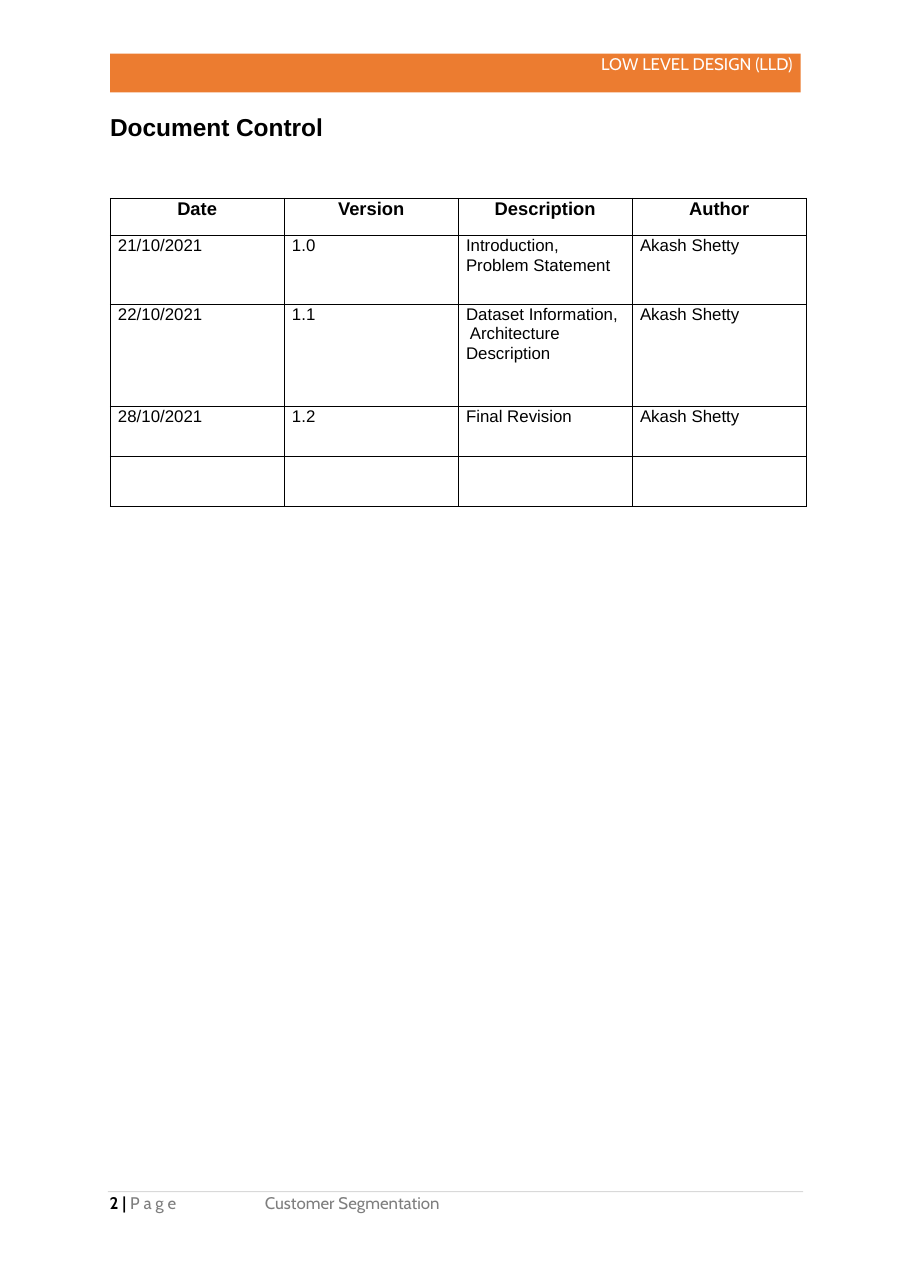
from lxml.etree import SubElement
from pptx import Presentation
from pptx.dml.color import RGBColor
from pptx.enum.shapes import MSO_SHAPE as Shape
from pptx.enum.text import MSO_ANCHOR as Anchor, PP_ALIGN as Align
from pptx.oxml.ns import qn
from pptx.util import Cm, Pt

BLACK, WHITE, GRAY = "000000", "FFFFFF", "7E7E7E"
ORANGE, RULE_GRAY = "EC7C30", "D9D9D9"

REVISIONS = [
    ("Date", "Version", "Description", "Author"),
    ("21/10/2021", "1.0", "Introduction,\vProblem Statement", "Akash Shetty"),
    ("22/10/2021", "1.1", "Dataset Information,\v Architecture\vDescription", "Akash Shetty"),
    ("28/10/2021", "1.2", "Final Revision", "Akash Shetty"),
    ("", "", "", ""),
]
ROW_HEIGHTS = (0.86, 1.58, 2.36, 1.14, 1.16)


def color(hex_code):
    return RGBColor.from_string(hex_code)


def style_run(run, font, size, hex_code, bold=False):
    run.font.name = font
    run.font.size = Pt(size)
    run.font.bold = bold
    run.font.color.rgb = color(hex_code)


def clear_margins(frame):
    frame.margin_left = frame.margin_right = 0
    frame.margin_top = frame.margin_bottom = 0
    frame.word_wrap = True
    frame.vertical_anchor = Anchor.TOP


def add_bar(slide, left, top, width, height, hex_code):
    bar = slide.shapes.add_shape(Shape.RECTANGLE, Cm(left), Cm(top), Cm(width), Cm(height))
    bar.shadow.inherit = False
    bar.fill.solid()
    bar.fill.fore_color.rgb = color(hex_code)
    bar.line.fill.background()
    return bar


def add_line_of_text(slide, left, top, width, height, pieces, font, size):
    """Place one paragraph made of (text, colour, bold) pieces."""
    box = slide.shapes.add_textbox(Cm(left), Cm(top), Cm(width), Cm(height))
    clear_margins(box.text_frame)
    paragraph = box.text_frame.paragraphs[0]
    for text, hex_code, bold in pieces:
        run = paragraph.add_run()
        run.text = text
        style_run(run, font, size, hex_code, bold)
    return paragraph


def add_header(slide, left, top, width, height):
    banner = add_bar(slide, left, top, width, height, ORANGE)
    frame = banner.text_frame
    clear_margins(frame)
    frame.margin_right = Cm(0.18)
    frame.text = "LOW LEVEL DESIGN (LLD)"
    title = frame.paragraphs[0]
    title.alignment = Align.RIGHT
    title.space_before = Pt(5.2)
    style_run(title.runs[0], "Cabin", 11, WHITE)


def add_cell_borders(cell):
    properties = cell._tc.get_or_add_tcPr()
    for side in ("a:lnL", "a:lnR", "a:lnT", "a:lnB"):
        border = SubElement(properties, qn(side), w=str(Pt(0.5)))
        fill = SubElement(border, qn("a:solidFill"))
        SubElement(fill, qn("a:srgbClr"), val=BLACK)


def fill_cell(cell, text, is_heading):
    cell.margin_left = cell.margin_right = 0 if is_heading else Cm(0.18)
    cell.margin_top = cell.margin_bottom = 0
    add_cell_borders(cell)
    cell.fill.background()
    if not text:
        return
    cell.text_frame.text = text
    paragraph = cell.text_frame.paragraphs[0]
    paragraph.alignment = Align.CENTER if is_heading else Align.LEFT
    paragraph.line_spacing = Pt(13.9 if is_heading else 12.8)
    for run in paragraph.runs:
        style_run(run, "Arial", 12 if is_heading else 11, BLACK, is_heading)


def add_revision_table(slide, left, top, width):
    columns = len(REVISIONS[0])
    table = slide.shapes.add_table(len(REVISIONS), columns, Cm(left), Cm(top),
                                   Cm(width), Cm(sum(ROW_HEIGHTS))).table
    table.first_row = table.horz_banding = False
    for column in table.columns:
        column.width = Cm(width / columns)
    for r, (revision, height) in enumerate(zip(REVISIONS, ROW_HEIGHTS)):
        table.rows[r].height = Cm(height)
        for c, text in enumerate(revision):
            fill_cell(table.cell(r, c), text, r == 0)


def add_footer(slide, left, top, width):
    add_bar(slide, left, top, width, 0.02, RULE_GRAY)
    page = [("2 | ", BLACK, True), ("P a g e", GRAY, False)]
    project = [("Customer Segmentation", GRAY, False)]
    for offset, box_width, pieces in ((0.04, 2, page), (3.62, 8.7, project)):
        paragraph = add_line_of_text(slide, left + offset, top + 0.1, box_width, 0.45,
                                     pieces, "Cabin", 11)
        paragraph.line_spacing = Pt(11.5)


def main():
    deck = Presentation()
    deck.slide_width, deck.slide_height = Cm(20.98), Cm(29.69)
    slide = deck.slides.add_slide(deck.slide_layouts[6])

    add_header(slide, 2.54, 1.24, 15.92, 0.89)
    # Page heading
    add_line_of_text(slide, 2.54, 2.58, 5.5, 0.74,
                     [("Document Control", BLACK, True)], "Arial", 16)
    add_revision_table(slide, 2.54, 4.57, 16.05)
    add_footer(slide, 2.49, 27.46, 16.03)

    deck.save("out.pptx")


if __name__ == "__main__":
    main()
